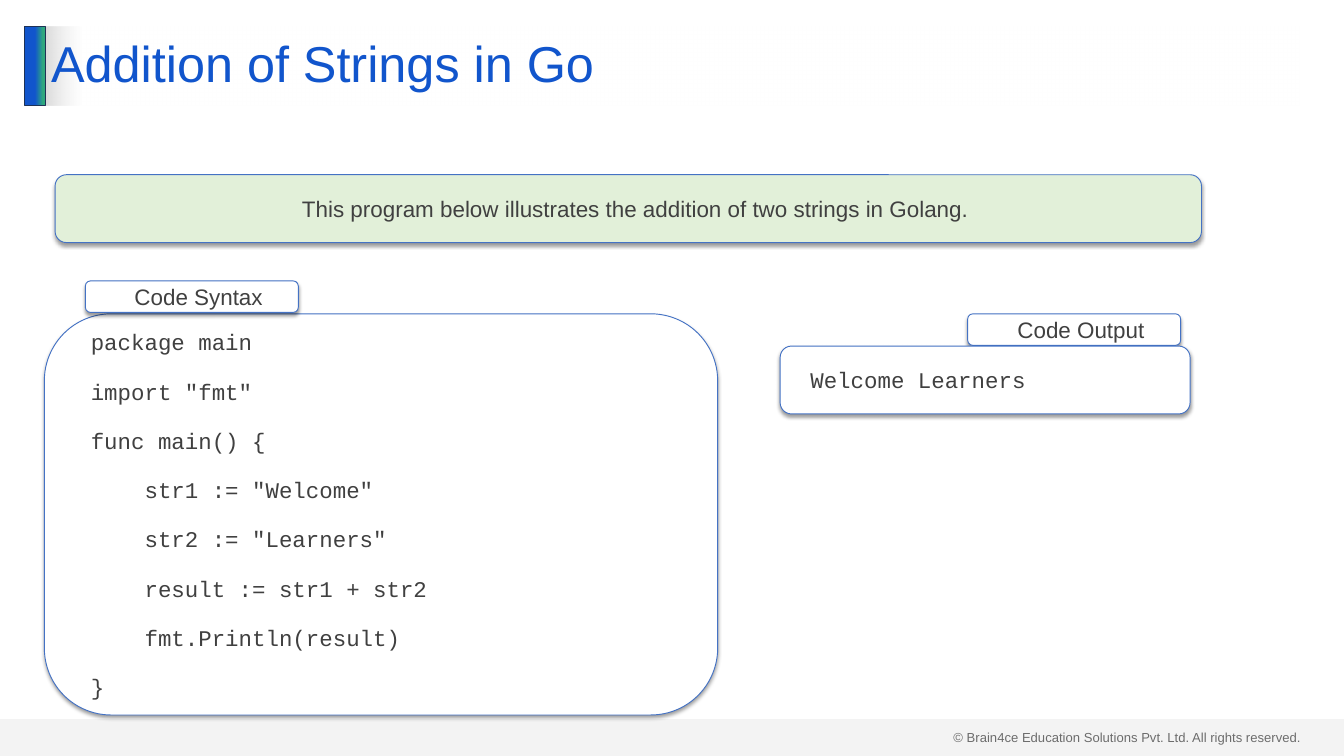
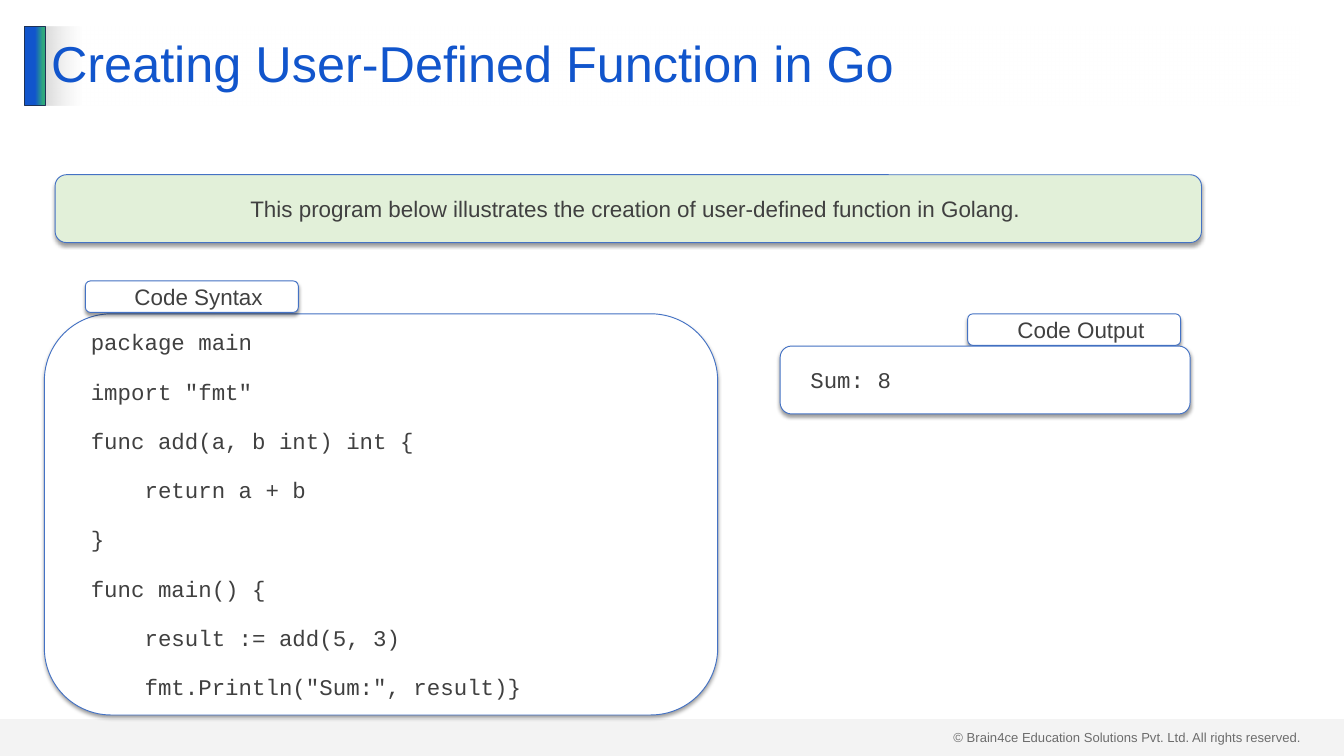
import pptx
import pptx.dml.color
import pptx.enum.shapes
import pptx.enum.text
import pptx.oxml
import pptx.oxml.ns
import pptx.util

PX = 9144
SLIDE_WIDTH, SLIDE_HEIGHT = 2000, 1125
BLUE, GREEN, NAVY = "1155CC", "2EA87D", "1E3256"
INK, GREY, WHITE = "404040", "D9D9D9", "FFFFFF"
OUTLINE, PALE_GREEN = "4472C4", "E2F0D9"
SANS, MONO = "Arial", "Courier New"
RECT = pptx.enum.shapes.MSO_SHAPE.RECTANGLE
ROUNDED = pptx.enum.shapes.MSO_SHAPE.ROUNDED_RECTANGLE
LEFT = pptx.enum.text.PP_ALIGN.LEFT
CENTER = pptx.enum.text.PP_ALIGN.CENTER
MIDDLE = pptx.enum.text.MSO_ANCHOR.MIDDLE
COPYRIGHT = "© Brain4ce Education Solutions Pvt. Ltd. All rights reserved."

STRINGS_CODE = """package main
import "fmt"
func main() {
    str1 := "Welcome"
    str2 := "Learners"
    result := str1 + str2
    fmt.Println(result)
}"""

FUNCTION_CODE = """package main
import "fmt"
func add(a, b int) int {
    return a + b
}
func main() {
    result := add(5, 3)
    fmt.Println("Sum:", result)}"""

LESSONS = [
    ("Addition of Strings in Go",
     "This program below illustrates the addition of two strings in Golang.",
     STRINGS_CODE, "Welcome Learners"),
    ("Creating User-Defined Function in Go",
     "This program below illustrates the creation of user-defined function in Golang.",
     FUNCTION_CODE, "Sum: 8"),
]


def px(length):
    """Turn px into EMU."""
    return pptx.util.Emu(length * PX)


def rgb(color):
    """Turn a hex string into a colour."""
    return pptx.dml.color.RGBColor.from_string(color)


def xml(markup):
    """Parse a drawing element, adding its namespace."""
    tag, rest = markup.split(" ", 1)
    return pptx.oxml.parse_xml(f"{tag} {pptx.oxml.ns.nsdecls('a')} {rest}")


def set_font(paragraph, size, color, face=SANS):
    """Format all the runs of a paragraph."""
    for run in paragraph.runs:
        run.font.size = pptx.util.Pt(size)
        run.font.name = face
        run.font.color.rgb = rgb(color)


def fill_gradient(shape, stops):
    """Fill from left to right with (percent, colour, opacity) stops."""
    shape.fill.gradient()
    shape.fill.gradient_angle = 0
    stop_list = shape.element.spPr.find(".//" + pptx.oxml.ns.qn("a:gsLst"))
    for stop in list(stop_list):
        stop_list.remove(stop)
    for percent, color, opacity in stops:
        stop_list.append(xml(
            f'<a:gs pos="{percent * 1000}"><a:srgbClr val="{color}">'
            f'<a:alpha val="{opacity * 1000}"/></a:srgbClr></a:gs>'))


def add_block(slide, kind, box):
    """Add a preset shape without shadow."""
    block = slide.shapes.add_shape(kind, *map(px, box))
    block.shadow.inherit = False
    return block


def add_frame(slide):
    """Add the copyright line, the accent bar and the footer band."""
    copyright_line = slide.shapes.add_textbox(*map(px, (1409, 1080, 541, 34)))
    copyright_line.text_frame.text = COPYRIGHT
    set_font(copyright_line.text_frame.paragraphs[0], 14, INK)

    accent = add_block(slide, RECT, (37, 39, 30, 118))
    fill_gradient(accent, [(51, BLUE, 100), (90, GREEN, 100), (100, GREEN, 100)])
    accent.line.color.rgb = rgb(NAVY)
    accent.line.width = pptx.util.Pt(1)

    band = add_block(slide, RECT, (0, 1070, SLIDE_WIDTH, 55))
    band.fill.solid()
    band.fill.fore_color.rgb = rgb(GREY)
    band.fill.fore_color._xFill[0].append(xml('<a:alpha val="29000"/>')) \
        if hasattr(band.fill.fore_color, "_xFill") else \
        band.element.spPr.find(".//" + pptx.oxml.ns.qn("a:srgbClr")).append(
            xml('<a:alpha val="29000"/>'))
    band.line.fill.background()


def set_title(slide, text):
    """Place and format the title."""
    title = slide.shapes.title
    title.left, title.top, title.width, title.height = map(px, (66, 39, 1867, 118))
    fill_gradient(title, [(0, GREY, 100), (0, GREY, 100), (3, WHITE, 50)])
    frame = title.text_frame
    frame.text = text
    frame.auto_size = pptx.enum.text.MSO_AUTO_SIZE.NONE
    frame.vertical_anchor = MIDDLE
    heading = frame.paragraphs[0]
    heading.alignment = LEFT
    heading.line_spacing = 0.9
    set_font(heading, 54, BLUE)


def add_card(slide, box, text, face=SANS, align=CENTER, fill=WHITE):
    """Add a rounded, shadowed card with one paragraph for each line."""
    card = add_block(slide, ROUNDED, box)
    card.fill.solid()
    card.fill.fore_color.rgb = rgb(fill)
    card.line.color.rgb = rgb(OUTLINE)
    card.line.width = pptx.util.Pt(1)
    card.element.spPr.find(pptx.oxml.ns.qn("a:effectLst")).append(xml(
        '<a:outerShdw blurRad="50800" dist="38100" dir="5400000" rotWithShape="0">'
        '<a:srgbClr val="000000"><a:alpha val="40000"/></a:srgbClr></a:outerShdw>'))

    frame = card.text_frame
    frame.text = text
    frame.word_wrap = True
    frame.vertical_anchor = MIDDLE
    frame.margin_left = frame.margin_right = px(20)
    frame.margin_top = frame.margin_bottom = px(10)
    for line in frame.paragraphs:
        line.alignment = align
        line.level = 1
        line._p.get_or_add_pPr().set("marL", str(px(20)))
        line._p.get_or_add_pPr().set("indent", "0")
        set_font(line, 24, INK, face)
    for line in frame.paragraphs[1:]:
        line.space_before = pptx.util.Pt(12)
    for line in frame.paragraphs[:-1]:
        line.space_after = pptx.util.Pt(12)


def add_lesson(deck, title, summary, code, output):
    """Add a slide with a program and its output."""
    slide = deck.slides.add_slide(deck.slide_layouts[5])
    add_frame(slide)
    set_title(slide, title)
    add_card(slide, (66, 467, 1002, 597), code, MONO, LEFT)
    add_card(slide, (127, 418, 317, 47), "Code Syntax")
    add_card(slide, (1440, 467, 317, 47), "Code Output")
    add_card(slide, (1161, 515, 610, 101), output, MONO, LEFT)
    add_card(slide, (82, 260, 1706, 101), summary, fill=PALE_GREEN)


def main():
    """Build the deck."""
    deck = pptx.Presentation()
    deck.slide_width, deck.slide_height = px(SLIDE_WIDTH), px(SLIDE_HEIGHT)
    for lesson in LESSONS:
        add_lesson(deck, *lesson)
    deck.save("out.pptx")


if __name__ == "__main__":
    main()
